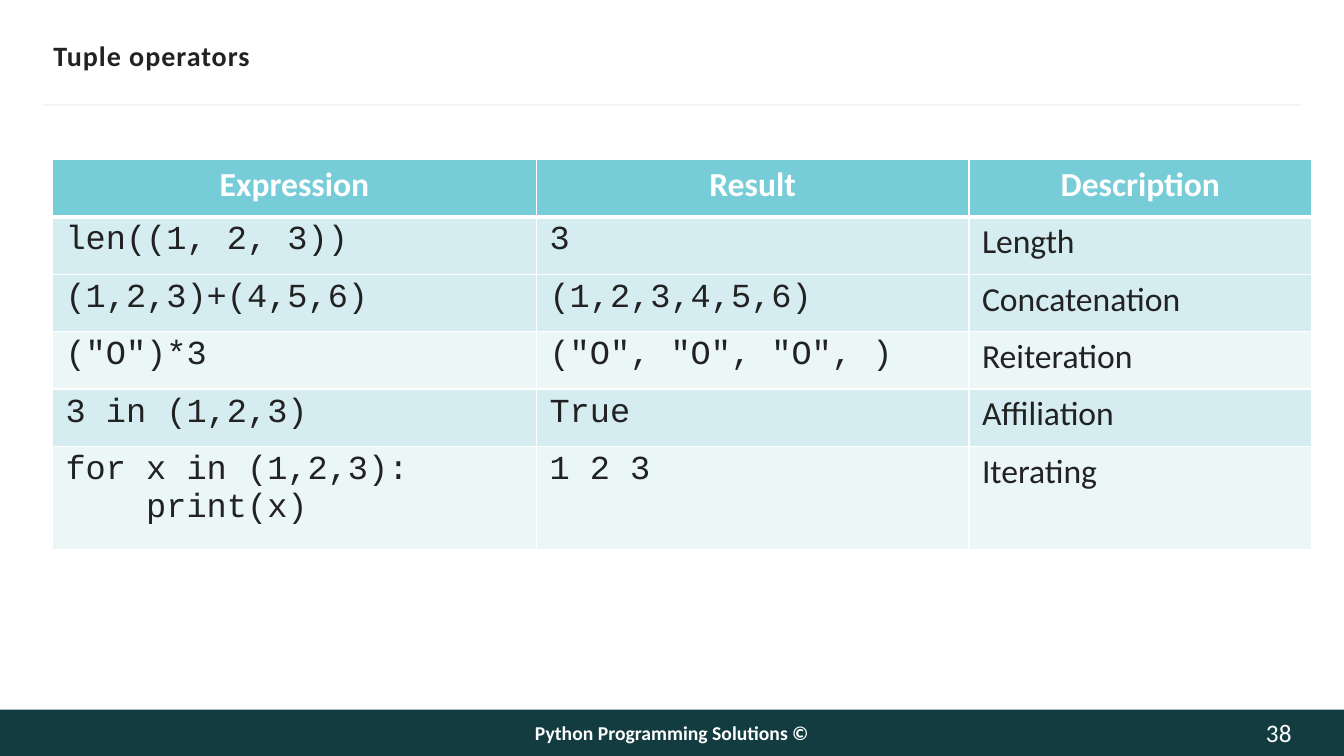
from lxml import etree
from pptx import Presentation
from pptx.dml.color import RGBColor
from pptx.enum import shapes, text
from pptx.oxml import ns
from pptx.util import Inches, Pt

COLORS = {
    "white": "FFFFFF", "ink": "222222", "footer": "133C41", "rule": "F5F5F5",
    "header": "76CDD8", "band": "D5ECF0", "light": "EBF6F7", "number": "FEFEFE",
}
ROWS = [
    ("header", 0.57, ("Expression", "Result", "Description")),
    ("band", 0.57, ("len((1, 2, 3))", "3", "Length")),
    ("band", 0.57, ("(1,2,3)+(4,5,6)", "(1,2,3,4,5,6)", "Concatenation")),
    ("light", 0.57, ('("O")*3', '("O", "O", "O", )', "Reiteration")),
    ("band", 0.57, ("3 in (1,2,3)", "True", "Affiliation")),
    ("light", 1.02, ("for x in (1,2,3): \v    print(x)", "1 2 3", "Iterating")),
]
COLUMN_WIDTHS = (4.8, 4.29, 3.4)


def style(paragraph, size, color, bold=False, font="Calibri", align=text.PP_ALIGN.LEFT):
    paragraph.alignment = align
    for run in paragraph.runs:
        run.font.name = font
        run.font.size = Pt(size)
        run.font.bold = bold
        run.font.color.rgb = RGBColor.from_string(COLORS[color])


def add_label(wording, left, top, width, height, inset_x, inset_y, wrap=True):
    """Add a vertically centred text box and return its paragraph."""
    box = slide.shapes.add_textbox(Inches(left), Inches(top), Inches(width), Inches(height))
    frame = box.text_frame
    frame.word_wrap = wrap
    frame.vertical_anchor = text.MSO_ANCHOR.MIDDLE
    frame.margin_left = frame.margin_right = Inches(inset_x)
    frame.margin_top = frame.margin_bottom = Inches(inset_y)
    frame.text = wording
    return frame.paragraphs[0]


prs = Presentation()
prs.slide_width, prs.slide_height = Inches(13.33), Inches(7.5)
slide = prs.slides.add_slide(prs.slide_layouts[6])

# Footer band and the rule under the title
footer = slide.shapes.add_shape(
    shapes.MSO_SHAPE.RECTANGLE, 0, Inches(7.04), prs.slide_width, Inches(0.46))
footer.shadow.inherit = False
footer.fill.solid()
footer.fill.fore_color.rgb = RGBColor.from_string(COLORS["footer"])
footer.line.fill.background()

rule = slide.shapes.add_connector(
    shapes.MSO_CONNECTOR.STRAIGHT, Inches(0.43), Inches(1.04), Inches(12.9), Inches(1.04))
rule.line.color.rgb = RGBColor.from_string(COLORS["rule"])
rule.line.width = Pt(1.5)
etree.SubElement(rule._element.spPr, ns.qn("a:effectLst"))

# Footer text and title
credit = add_label("Python Programming Solutions ©", 3.5, 7.04, 6.33, 0.45, 0.1, 0.05)
style(credit, 14, "white", bold=True, align=text.PP_ALIGN.CENTER)

title = add_label("Tuple operators", 0.53, 0.33, 12.29, 0.44, 0, 0.05, wrap=False)
style(title, 20, "ink", bold=True)
title.runs[0].font._element.set("spc", "70")

# Operator table
operators = slide.shapes.add_table(
    len(ROWS), len(COLUMN_WIDTHS), Inches(0.52), Inches(1.58), Inches(12.49), Inches(3.87)).table
for column, width in zip(operators.columns, COLUMN_WIDTHS):
    column.width = Inches(width)

for r, (fill, height, wordings) in enumerate(ROWS):
    operators.rows[r].height = Inches(height)
    for c, wording in enumerate(wordings):
        cell = operators.cell(r, c)
        cell.margin_left = cell.margin_right = Inches(0.13)
        cell.margin_top = cell.margin_bottom = Inches(0.05)
        cell.text_frame.text = wording
        paragraph = cell.text_frame.paragraphs[0]
        if r == 0:
            style(paragraph, 24, "white", bold=True, align=text.PP_ALIGN.CENTER)
        else:
            style(paragraph, 24, "ink", font="Calibri" if c == 2 else "Courier New")

        # Borders come before the fill in the cell properties
        properties = cell._tc.get_or_add_tcPr()
        for side in ("L", "R", "T", "B"):
            under_header = (r, side) in ((0, "B"), (1, "T"))
            border = etree.SubElement(properties, ns.qn(f"a:ln{side}"),
                                      w=str(Pt(3 if under_header else 0.96)))
            paint = etree.SubElement(border, ns.qn("a:solidFill"))
            etree.SubElement(paint, ns.qn("a:srgbClr"), val=COLORS["white"])
        cell.fill.solid()
        cell.fill.fore_color.rgb = RGBColor.from_string(COLORS[fill])

# Slide number
number = add_label("38", 12.15, 7.04, 0.66, 0.46, 0, 0)
style(number, 18, "number", align=text.PP_ALIGN.RIGHT)

prs.save("out.pptx")
